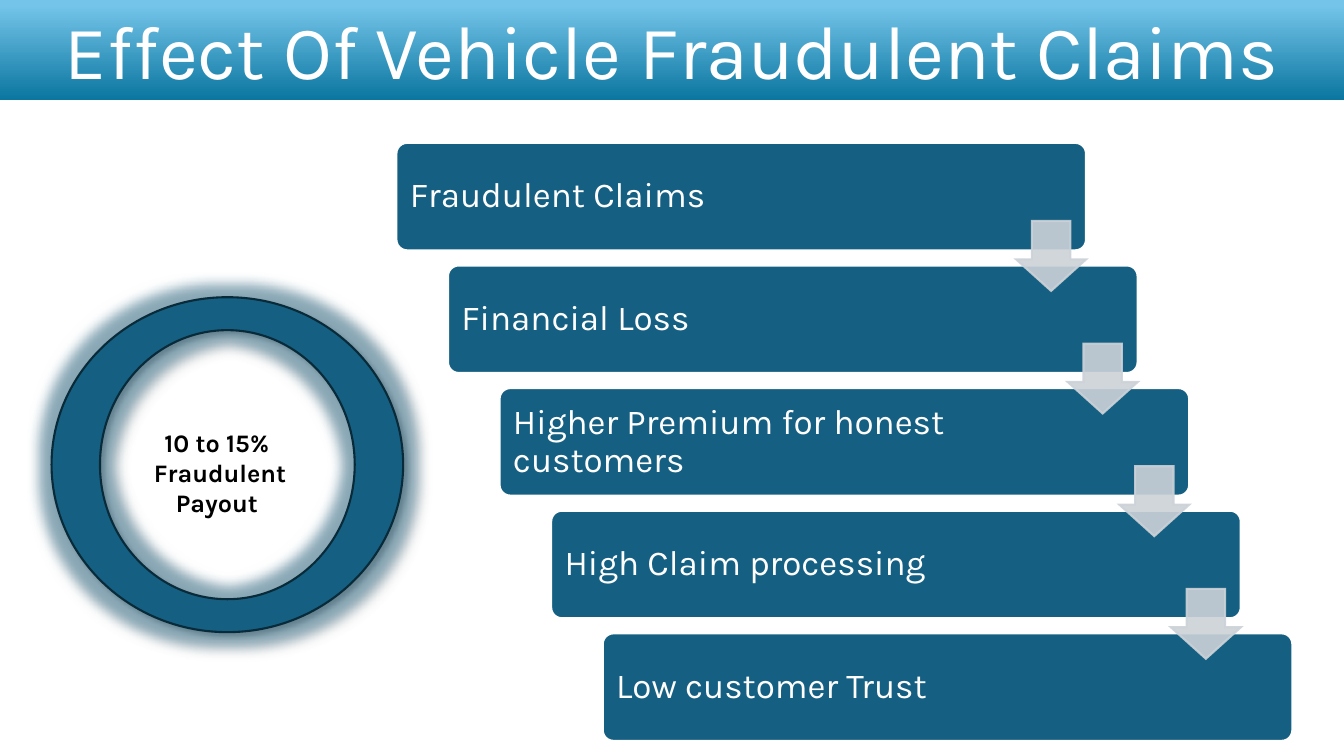
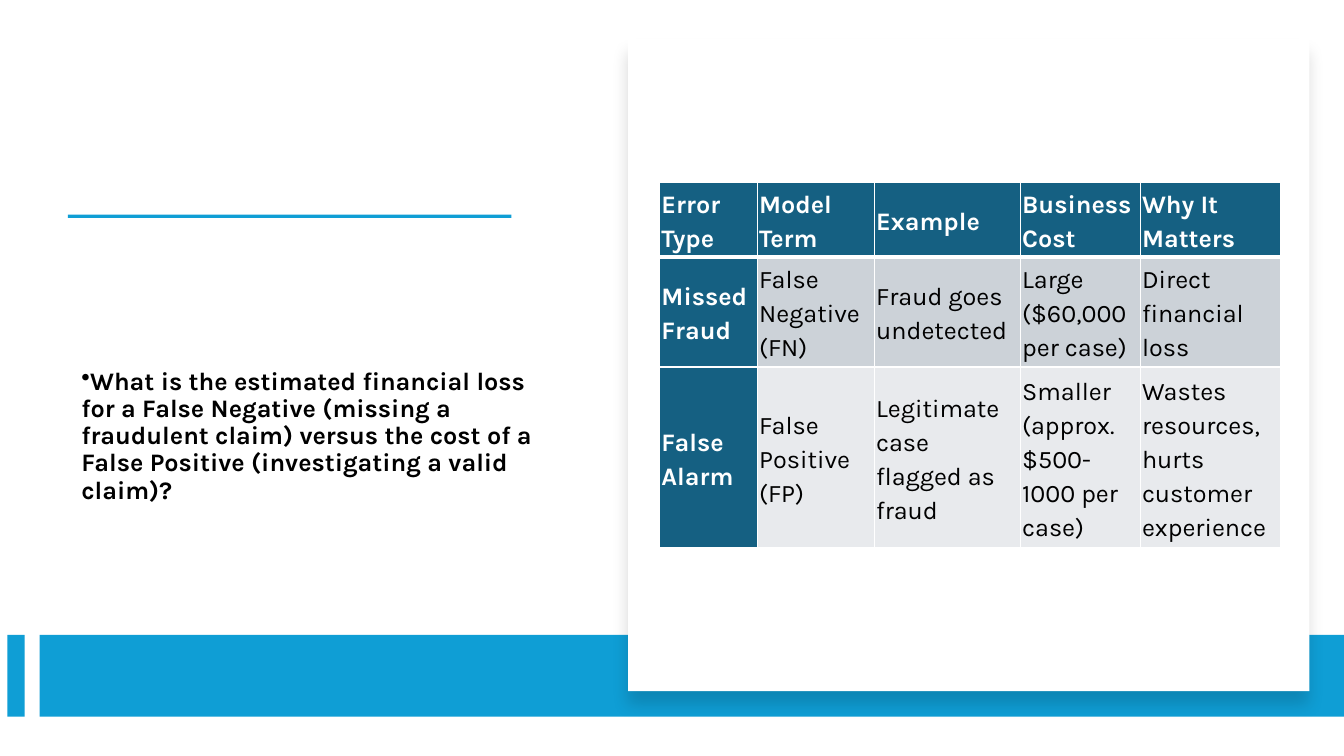
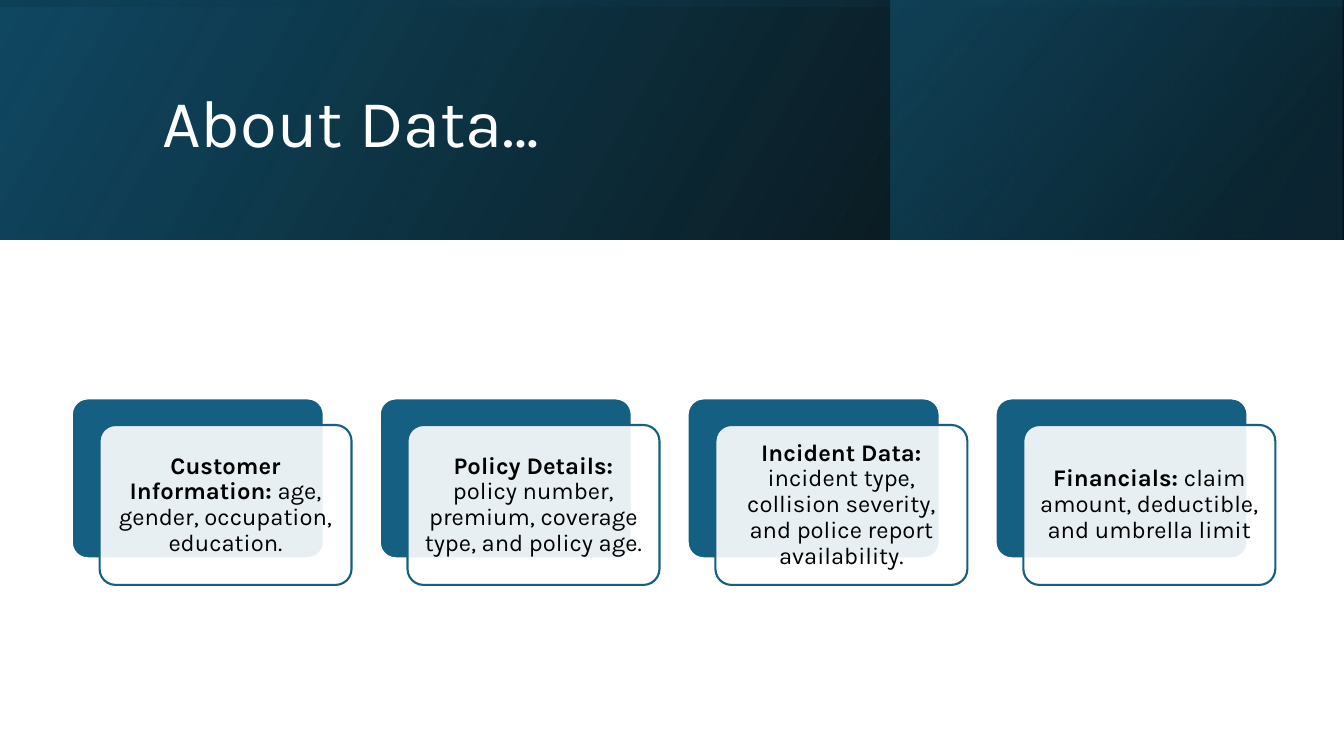
from pptx import Presentation
from pptx.dml.color import RGBColor as RGB
from pptx.enum.shapes import MSO_SHAPE as SHAPE
from pptx.enum.text import MSO_ANCHOR as ANCHOR, PP_ALIGN as ALIGN
from pptx.oxml import parse_xml
from pptx.oxml.ns import nsdecls, qn
from pptx.util import Cm, Pt

FONT = "Karla"
COLORS = {
    "white": "FFFFFF", "black": "000000", "teal": "156082", "ink": "092A39",
    "gray": "CCD2D8", "pale": "E8EAED", "cyan": "0F9ED5", "sky": "74C4E9",
    "sea": "0B76A0", "navy": "104862", "deep": "0B3041",
}
WIDE, HIGH = 33.87, 19.05

STEPS = ["Fraudulent Claims", "Financial Loss", "Higher Premium for honest customers",
         "High Claim processing", "Low customer Trust"]
PAYOUT = ["10 to 15%", " Fraudulent Payout"]
QUESTION = ("What is the estimated financial loss for a False Negative (missing a fraudulent "
            "claim) versus the cost of a False Positive (investigating a valid claim)?")
ERRORS = [
    ("Error Type", "Model Term", "Example", "Business Cost", "Why It Matters"),
    ("Missed Fraud", "False Negative (FN)", "Fraud goes undetected",
     "Large ($60,000 per case)", "Direct financial loss"),
    ("False Alarm", "False Positive (FP)", "Legitimate case flagged as fraud",
     "Smaller (approx. $500-1000 per case)", "Wastes resources, hurts customer experience"),
]
COLS = [2.46, 2.95, 3.68, 3.02, 3.53]
ROWS = [1.88, 2.77, 4.56]
DATA = [
    ("Customer Information:", " age, gender, occupation, education."),
    ("Policy Details:", " policy number, premium, coverage type, and policy age."),
    ("Incident Data:", " incident type, collision severity, and police report availability."),
    ("Financials:", " claim amount, deductible, and umbrella limit"),
]
# Gradient bands of the data slide: box, turn, stops (place, colour, alpha), angle
BANDS = [
    ((0, 0, WIDE, 6.04), 0, [(0, "black", 96), (100, "navy", 100)], 330),
    ((22.45, 0, 11.38, 6.04), 0, [(19, "deep", 68), (100, "teal", 48)], 320),
    ((13.92, -13.92, 6.03, WIDE), 270, [(23, "navy", 16), (99, "black", 45)], 350),
]


def rgb(name):
    return RGB.from_string(COLORS[name])


def tint(name, alpha):
    return f'<a:srgbClr val="{COLORS[name]}"><a:alpha val="{alpha * 1000}"/></a:srgbClr>'


def fade(fill, alpha):
    """Make a solid fill partly transparent."""
    color = fill._xPr.find(qn("a:solidFill"))[0]
    color.append(parse_xml(f'<a:alpha {nsdecls("a")} val="{alpha * 1000}"/>'))


def paint(shape, fill, line=None, alpha=100):
    shape.shadow.inherit = False
    if fill:
        shape.fill.solid()
        shape.fill.fore_color.rgb = rgb(fill)
        if alpha < 100:
            fade(shape.fill, alpha)
    if line:
        shape.line.color.rgb = rgb(line)
        shape.line.width = Pt(1.5)
        shape._element.spPr.find(qn("a:ln")).append(
            parse_xml(f'<a:miter {nsdecls("a")} lim="800000"/>'))
    else:
        shape.line.fill.background()


def draw(slide, kind, box, fill, line=None, alpha=100, adjust=()):
    shape = slide.shapes.add_shape(kind, *map(Cm, box))
    for i, value in enumerate(adjust):
        shape.adjustments[i] = value
    paint(shape, fill, line, alpha)
    return shape


def blend(shape, stops, angle):
    """Fill a shape with a linear gradient."""
    marks = "".join(f'<a:gs pos="{at * 1000}">{tint(name, alpha)}</a:gs>'
                    for at, name, alpha in stops)
    shape.fill.background()
    props = shape._element.spPr
    props.replace(props.find(qn("a:noFill")), parse_xml(
        f'<a:gradFill {nsdecls("a")} rotWithShape="1"><a:gsLst>{marks}</a:gsLst>'
        f'<a:lin ang="{angle * 60000}" scaled="0"/></a:gradFill>'))


def glow(shape, name, alpha, size):
    shape._element.spPr.find(qn("a:effectLst")).append(parse_xml(
        f'<a:glow {nsdecls("a")} rad="{Pt(size)}">{tint(name, alpha)}</a:glow>'))


def shade(shape, alpha, blur, gap, angle):
    """Add an outer shadow."""
    shape._element.spPr.find(qn("a:effectLst")).append(parse_xml(
        f'<a:outerShdw {nsdecls("a")} blurRad="{Pt(blur)}" dist="{Pt(gap)}" '
        f'dir="{angle * 60000}" algn="ctr" rotWithShape="0">{tint("black", alpha)}</a:outerShdw>'))


def write(frame, paras, size, color, align=ALIGN.LEFT, space=0.9, inset=None):
    """Fill a text frame; each paragraph is a list of (text, bold) runs."""
    frame.word_wrap = True
    frame.vertical_anchor = ANCHOR.MIDDLE
    if inset:
        (frame.margin_left, frame.margin_top,
         frame.margin_right, frame.margin_bottom) = map(Cm, inset)
    for i, runs in enumerate(paras):
        para = frame.add_paragraph() if i else frame.paragraphs[0]
        para.alignment = align
        para.line_spacing = space
        for text, bold in runs:
            run = para.add_run()
            run.text = text
            run.font.name = FONT
            run.font.size = Pt(size)
            run.font.bold = bold
            run.font.color.rgb = rgb(color)


def label(slide, box, *args, **more):
    frame = slide.shapes.add_textbox(*map(Cm, box)).text_frame
    write(frame, *args, **more)
    return frame


def title(frame, text, size, *args):
    write(frame, [[(text, False)]], size, "white", *args)


def curve(path):
    """Turn each four-point contour into an ellipse of Bezier quarters."""
    bend, spots = 0.55, []
    for part in list(path):
        if part.tag == qn("a:close"):
            continue
        spot = part[0]
        here = int(spot.get("x")), int(spot.get("y"))
        if part.tag == qn("a:moveTo"):
            spots = [here]
            continue
        spots.append(here)
        if len(spots) == 2:
            # Opposite corner of the contour fixes the centre
            far = part.getnext()[0]
            mid = ((spots[0][0] + int(far.get("x"))) / 2, (spots[0][1] + int(far.get("y"))) / 2)
        last = spots[-2]
        grips = [[round(a + bend * (b - m)) for a, b, m in zip(one, two, mid)]
                 for one, two in ((last, here), (here, last))]
        points = "".join(f'<a:pt x="{x}" y="{y}"/>' for x, y in grips + [here])
        path.replace(part, parse_xml(f'<a:cubicBezTo {nsdecls("a")}>{points}</a:cubicBezTo>'))


def ring(slide, x, y, outer, inner):
    def spots(wide, high, turn):
        ends = [(x, y - high), (x + turn * wide, y), (x, y + high), (x - turn * wide, y)]
        return [(Cm(a), Cm(b)) for a, b in ends + ends[:1]]

    rim, hole = spots(*outer, 1), spots(*inner, -1)
    form = slide.shapes.build_freeform(*rim[0], scale=1.0)
    form.add_line_segments(rim[1:], close=True)
    form.move_to(*hole[0])
    form.add_line_segments(hole[1:], close=True)
    shape = form.convert_to_shape()
    curve(next(shape._element.iter(qn("a:path"))))
    paint(shape, "teal", "ink")
    glow(shape, "teal", 40, 18)
    shade(shape, 40, 4, 3, 45)


def edge(cell, side, width):
    """White border on one side; call in the order L, R, T, B."""
    props = cell._tc.get_or_add_tcPr()
    props.find(qn("a:solidFill")).addprevious(parse_xml(
        f'<a:ln{side} {nsdecls("a")} w="{Pt(width)}"><a:solidFill>{tint("white", 100)}'
        f'</a:solidFill></a:ln{side}>'))


def effect(slide):
    bar = draw(slide, SHAPE.RECTANGLE, (0, -0.02, WIDE, 2.54), None)
    blend(bar, [(0, "sky", 100), (6, "sky", 100), (100, "sea", 100)], 90)
    title(bar.text_frame, "Effect Of Vehicle Fraudulent Claims", 54, ALIGN.CENTER, 1.0)

    wide, high, arrow = 17.38, 2.71, 1.76
    spots = [(9.99 + 1.3 * i, 3.6 + 3.09 * i) for i in range(len(STEPS))]
    for (x, y), text in zip(spots, STEPS):
        box = draw(slide, SHAPE.ROUNDED_RECTANGLE, (x, y, wide, high), "teal", "white",
                   adjust=[0.1])
        write(box.text_frame, [[(text, False)]], 25, "white", inset=(0.26, 0.25, 3.33, 0.25))
    for x, y in spots[:-1]:
        sign = draw(slide, SHAPE.DOWN_ARROW, (x + wide - arrow, y + 1.97, arrow, arrow),
                    "gray", "gray", 90, [0.55, 0.45])
        fade(sign.line.fill, 90)

    ring(slide, 5.73, 11.71, (4.43, 4.22), (3.21, 3.39))
    label(slide, (3, 10.62, 4.93, 2.57), [[(text, True)] for text in PAYOUT], 18, "black",
          ALIGN.CENTER, 1.0)


def cost(slide):
    draw(slide, SHAPE.RECTANGLE, (1.71, 5.41, 11.18, 0.08), "cyan")
    frame = label(slide, (1.8, 6.12, 11.89, 9.76), [[(QUESTION, True)]], 18, "black")
    props = frame.paragraphs[0]._p.get_or_add_pPr()
    props.set("marL", "0")
    props.set("indent", str(-Cm(0.64)))
    props.append(parse_xml(f'<a:buChar {nsdecls("a")} char="•"/>'))

    for x, wide in [(0.19, 0.43), (1, 32.87)]:
        draw(slide, SHAPE.RECTANGLE, (x, 16, wide, 2.06), "cyan")
    card = draw(slide, SHAPE.RECTANGLE, (15.83, 0.99, 17.17, 16.43), "white")
    shade(card, 15, 11, 10, 90)

    table = slide.shapes.add_table(len(ROWS), len(COLS), Cm(16.63), Cm(4.6),
                                   Cm(sum(COLS)), Cm(sum(ROWS))).table
    table.first_row = table.horz_banding = False
    for col, wide in zip(table.columns, COLS):
        col.width = Cm(wide)
    for row, high in zip(table.rows, ROWS):
        row.height = Cm(high)
    for r, texts in enumerate(ERRORS):
        for c, text in enumerate(texts):
            cell = table.cell(r, c)
            head = r == 0 or c == 0
            cell.fill.solid()
            cell.fill.fore_color.rgb = rgb("teal" if head else ("gray", "pale")[r - 1])
            for side in "LRTB":
                thick = (r, side) in [(0, "B"), (1, "T")]
                edge(cell, side, 3 if thick else 1)
            cell.margin_left = cell.margin_right = Cm(0.04)
            cell.margin_top = cell.margin_bottom = Cm(0.05)
            write(cell.text_frame, [[(text, head)]], 18, "white" if head else "black",
                  space=1.15)
            cell.vertical_anchor = ANCHOR.MIDDLE
            cell.text_frame.paragraphs[0].space_after = Pt(8)


def about(slide):
    for box, turn, stops, angle in BANDS:
        band = draw(slide, SHAPE.RECTANGLE, box, None)
        band.rotation = turn
        band._element.spPr.xfrm.set("flipH", "1")
        blend(band, stops, angle)
    head = slide.shapes.add_textbox(Cm(3.84), Cm(0.99), Cm(27), Cm(4.37))
    title(head.text_frame, "About Data…", 48)

    wide, high = 6.35, 4.03
    for i, (name, text) in enumerate(DATA):
        x, y = 1.81 + 7.76 * i, 10.04
        draw(slide, SHAPE.ROUNDED_RECTANGLE, (x, y, wide, high), "teal", "white", adjust=[0.1])
        card = draw(slide, SHAPE.ROUNDED_RECTANGLE, (x + 0.7, y + 0.67, wide, high),
                    "white", "teal", 90, [0.1])
        write(card.text_frame, [[(name, True), (text, False)]], 17, "black", ALIGN.CENTER,
              inset=[0.17] * 4)


def main():
    deck = Presentation()
    deck.slide_width, deck.slide_height = Cm(WIDE), Cm(HIGH)
    for build in (effect, cost, about):
        build(deck.slides.add_slide(deck.slide_layouts[6]))
    deck.save("out.pptx")


if __name__ == "__main__":
    main()
